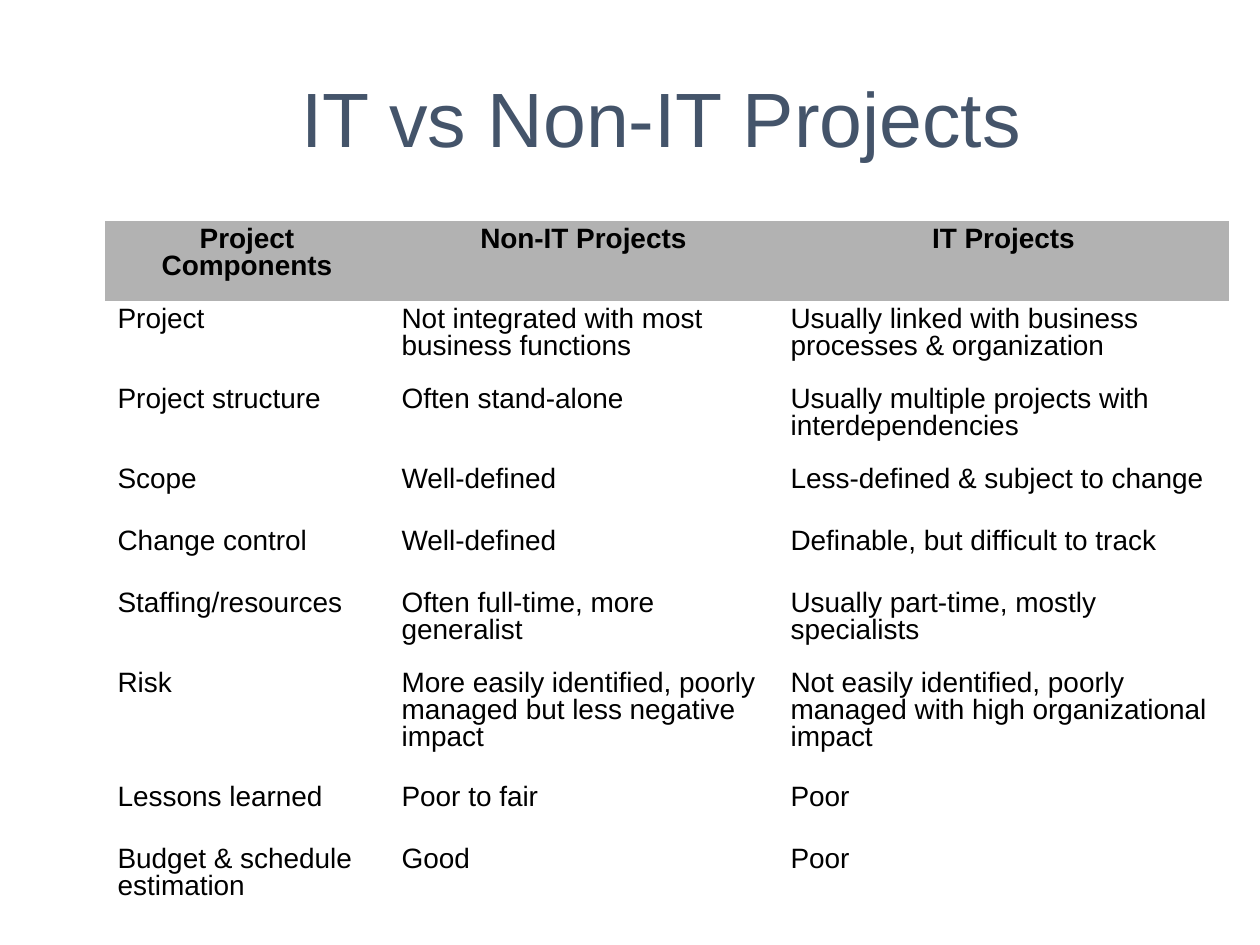
from pptx import Presentation
from pptx.dml.color import RGBColor
from pptx.enum.text import MSO_ANCHOR as Anchor, PP_ALIGN as Align
from pptx.oxml.ns import qn
from pptx.util import Emu, Pt

PX = 914400 / 126
COLORS = {"title": "44546A", "text": "000000", "header": "B2B2B2"}
NO_STYLE_NO_GRID = "{2D5ABB26-0587-4C30-8999-92F81FD0307C}"

COLUMN_WIDTHS = [284, 389, 451]
ROW_HEIGHTS = [80, 80, 80, 62, 62, 80, 114, 62, 80]
COMPARISON = [
    ("Project Components", "Non-IT Projects", "IT Projects"),
    ("Project", "Not integrated with most business functions",
     "Usually linked with business processes & organization"),
    ("Project structure", "Often stand-alone",
     "Usually multiple projects with interdependencies"),
    ("Scope", "Well-defined", "Less-defined & subject to change"),
    ("Change control", "Well-defined", "Definable, but difficult to track"),
    ("Staffing/resources", "Often full-time, more generalist",
     "Usually part-time, mostly specialists"),
    ("Risk", "More easily identified, poorly managed but less negative impact",
     "Not easily identified, poorly managed with high organizational impact"),
    ("Lessons learned", "Poor to fair", "Poor"),
    ("Budget & schedule estimation", "Good", "Poor"),
]


def px(length):
    return Emu(round(length * PX))


class SlideBuilder:
    font = "Arial"
    title_size = 44
    table_size = 16

    def __init__(self, slide):
        self.slide = slide

    def set_text(self, text_frame, text, size, color, align, bold=False):
        text_frame.text = text
        text_frame.word_wrap = True
        paragraph = text_frame.paragraphs[0]
        paragraph.alignment = align
        font = paragraph.runs[0].font
        font.name = self.font
        font.size = Pt(size)
        font.bold = bold
        font.color.rgb = RGBColor.from_string(COLORS[color])
        return paragraph

    def title(self, left, top, width, height, text):
        box = self.slide.shapes.add_textbox(px(left), px(top), px(width), px(height))
        box.text_frame.vertical_anchor = Anchor.MIDDLE
        self.set_text(box.text_frame, text, self.title_size, "title", Align.CENTER)

    def cell(self, cell, text, is_header):
        align = Align.CENTER if is_header else Align.LEFT
        paragraph = self.set_text(cell.text_frame, text, self.table_size, "text", align, is_header)
        paragraph.line_spacing = 0.87
        paragraph.space_before = Pt(4)
        if is_header:
            cell.fill.solid()
            cell.fill.fore_color.rgb = RGBColor.from_string(COLORS["header"])
        else:
            cell.fill.background()

    def table(self, left, top, widths, heights, rows):
        frame = self.slide.shapes.add_table(
            len(heights), len(widths), px(left), px(top), px(sum(widths)), px(sum(heights)))
        table = frame.table
        table.horz_banding = False
        next(frame._element.iter(qn("a:tableStyleId"))).text = NO_STYLE_NO_GRID
        for column, width in zip(table.columns, widths):
            column.width = px(width)
        for index, (row, height, texts) in enumerate(zip(table.rows, heights, rows)):
            row.height = px(height)
            for cell, text in zip(row.cells, texts):
                self.cell(cell, text, index == 0)


def main():
    presentation = Presentation()
    presentation.slide_width = px(1260)
    presentation.slide_height = px(945)
    slide = presentation.slides.add_slide(presentation.slide_layouts[6])
    builder = SlideBuilder(slide)
    builder.title(126, 38, 1071, 158, "IT vs Non-IT Projects")
    builder.table(105, 221, COLUMN_WIDTHS, ROW_HEIGHTS, COMPARISON)
    presentation.save("out.pptx")


if __name__ == "__main__":
    main()
